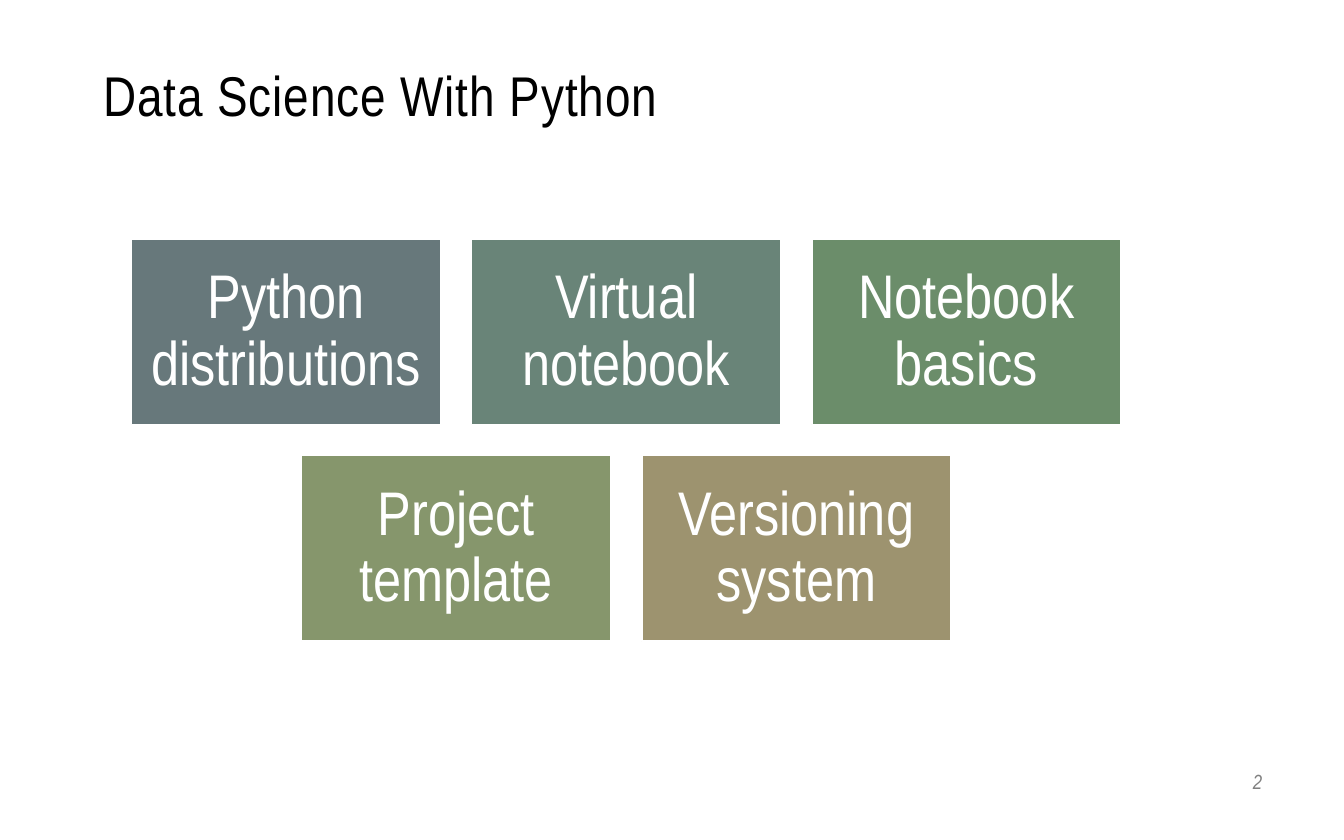
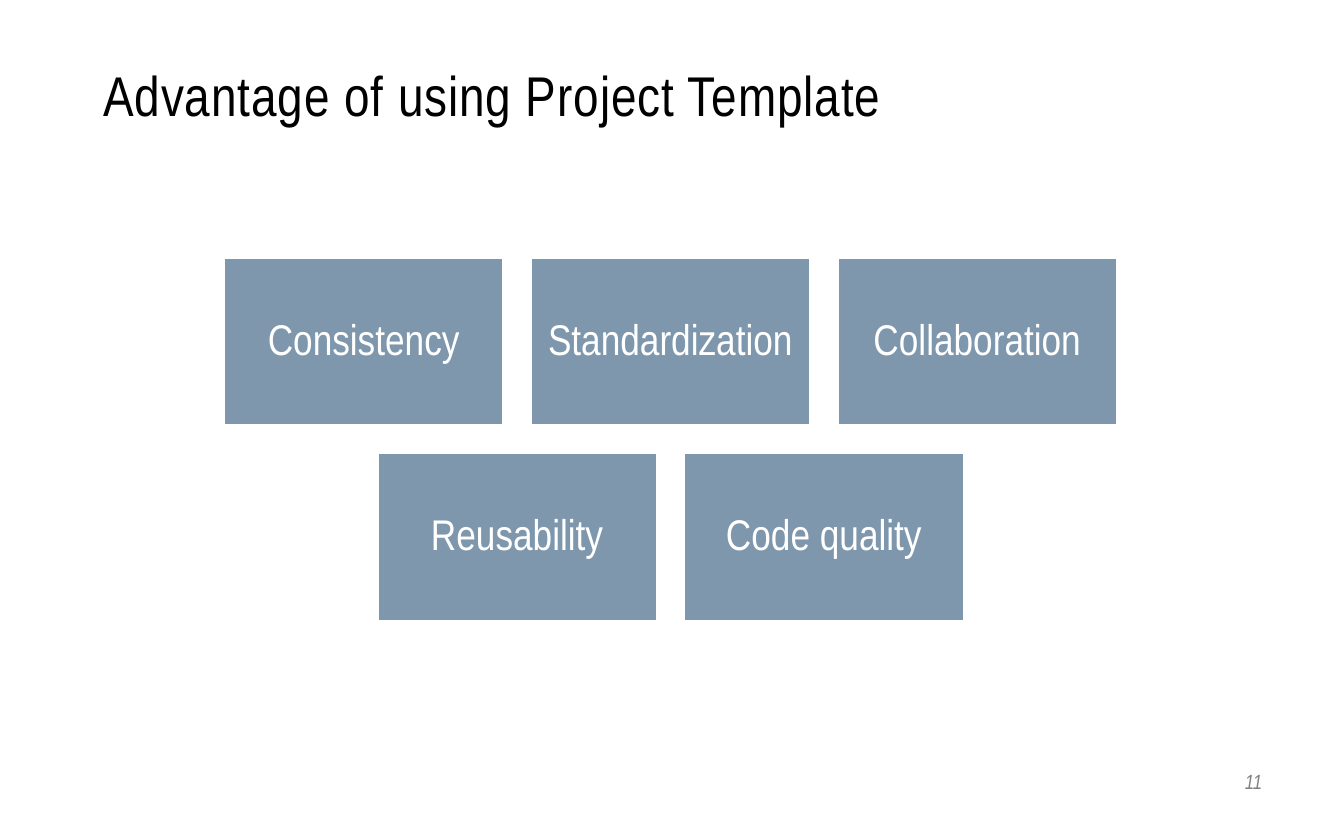
import dataclasses

import pptx
import pptx.dml.color
import pptx.enum.shapes
import pptx.enum.text
import pptx.util

Inches = pptx.util.Inches
Align = pptx.enum.text.PP_ALIGN
Anchor = pptx.enum.text.MSO_ANCHOR


@dataclasses.dataclass(frozen=True)
class Theme:
    font: str = "Arial Narrow"
    black: str = "000000"
    white: str = "FFFFFF"
    grey: str = "808080"
    blue: str = "7E97AD"
    topic_colors: tuple = ("67787B", "698478", "6B8D6A", "86966C", "9D936F")
    title_size: int = 30
    topic_size: int = 33
    advantage_size: int = 23
    number_size: int = 11
    title_tracking: int = 50  # hundredths of a point
    line_width: float = 0.85


@dataclasses.dataclass(frozen=True)
class Box:
    left: float
    top: float
    width: float
    height: float

    def lengths(self):
        return [Inches(value) for value in dataclasses.astuple(self)]


THEME = Theme()
SLIDE_BOX = Box(0, 0, 10, 6.25)
TITLE_BOX = Box(0.67, 0.29, 8.67, 0.71)
NUMBER_BOX = Box(9.02, 5.67, 0.47, 0.29)

# Card proportions, as shares of the card width
CARDS_PER_ROW = 3
CARD_GAP = 0.1
CARD_HEIGHT = 0.6


def apply_format(target, values):
    for name, value in values.items():
        setattr(target, name, value)


def write_text(shape, text, size, color, frame_format, paragraph_format, italic=False):
    """Put one formatted run in a shape and return it."""
    apply_format(shape.text_frame, {"word_wrap": True, **frame_format})
    paragraph = shape.text_frame.paragraphs[0]
    apply_format(paragraph, paragraph_format)
    run = paragraph.add_run()
    run.text = text
    apply_format(run.font, {"name": THEME.font, "size": pptx.util.Pt(size), "italic": italic})
    run.font.color.rgb = pptx.dml.color.RGBColor.from_string(color)
    return run


def add_title(slide, box, text):
    shape = slide.shapes.add_textbox(*box.lengths())
    run = write_text(shape, text, THEME.title_size, THEME.black,
                     {"vertical_anchor": Anchor.BOTTOM}, {"alignment": Align.LEFT})
    run.font._element.set("spc", str(THEME.title_tracking))


def add_slide_number(slide, box, number):
    shape = slide.shapes.add_textbox(*box.lengths())
    write_text(shape, str(number), THEME.number_size, THEME.grey,
               {"vertical_anchor": Anchor.TOP}, {"alignment": Align.RIGHT}, italic=True)


def add_card(slide, box, text, color, size, inset):
    shape = slide.shapes.add_shape(pptx.enum.shapes.MSO_SHAPE.RECTANGLE, *box.lengths())
    shape.shadow.inherit = False
    shape.fill.solid()
    shape.fill.fore_color.rgb = pptx.dml.color.RGBColor.from_string(color)
    shape.line.color.rgb = pptx.dml.color.RGBColor.from_string(THEME.white)
    shape.line.width = pptx.util.Pt(THEME.line_width)
    margins = {f"margin_{side}": Inches(inset) for side in ("left", "top", "right", "bottom")}
    write_text(shape, text, size, THEME.white,
               {"vertical_anchor": Anchor.MIDDLE, **margins},
               {"alignment": Align.CENTER, "line_spacing": 0.9})


def add_card_grid(slide, box, cards, size, inset):
    """Fill the box with rows of cards; a short row is centred."""
    width = box.width / (CARDS_PER_ROW + CARD_GAP * (CARDS_PER_ROW - 1))
    height, gap = width * CARD_HEIGHT, width * CARD_GAP
    for row, start in enumerate(range(0, len(cards), CARDS_PER_ROW)):
        row_cards = cards[start:start + CARDS_PER_ROW]
        indent = (CARDS_PER_ROW - len(row_cards)) * (width + gap) / 2
        for column, (text, color) in enumerate(row_cards):
            card_box = Box(box.left + indent + column * (width + gap),
                           box.top + row * (height + gap), width, height)
            add_card(slide, card_box, text, color, size, inset)


def add_card_slide(presentation, number, title, grid_box, cards, size, inset):
    slide = presentation.slides.add_slide(presentation.slide_layouts[6])
    add_slide_number(slide, NUMBER_BOX, number)
    add_title(slide, TITLE_BOX, title)
    add_card_grid(slide, grid_box, cards, size, inset)


def main():
    presentation = pptx.Presentation()
    presentation.slide_width = Inches(SLIDE_BOX.width)
    presentation.slide_height = Inches(SLIDE_BOX.height)

    # Topics, one colour each
    topics = ["Python distributions", "Virtual notebook", "Notebook basics",
              "Project template", "Versioning system"]
    add_card_slide(presentation, 2, "Data Science With Python",
                   Box(0.98, 1.78, 7.36, 2.99), list(zip(topics, THEME.topic_colors)),
                   THEME.topic_size, inset=0.14)

    # Advantages, all in one colour
    advantages = ["Consistency", "Standardization", "Collaboration",
                  "Reusability", "Code quality"]
    add_card_slide(presentation, 11, "Advantage of using Project Template",
                   Box(1.67, 1.92, 6.64, 2.71), [(text, THEME.blue) for text in advantages],
                   THEME.advantage_size, inset=0.1)

    presentation.save("out.pptx")


if __name__ == "__main__":
    main()
